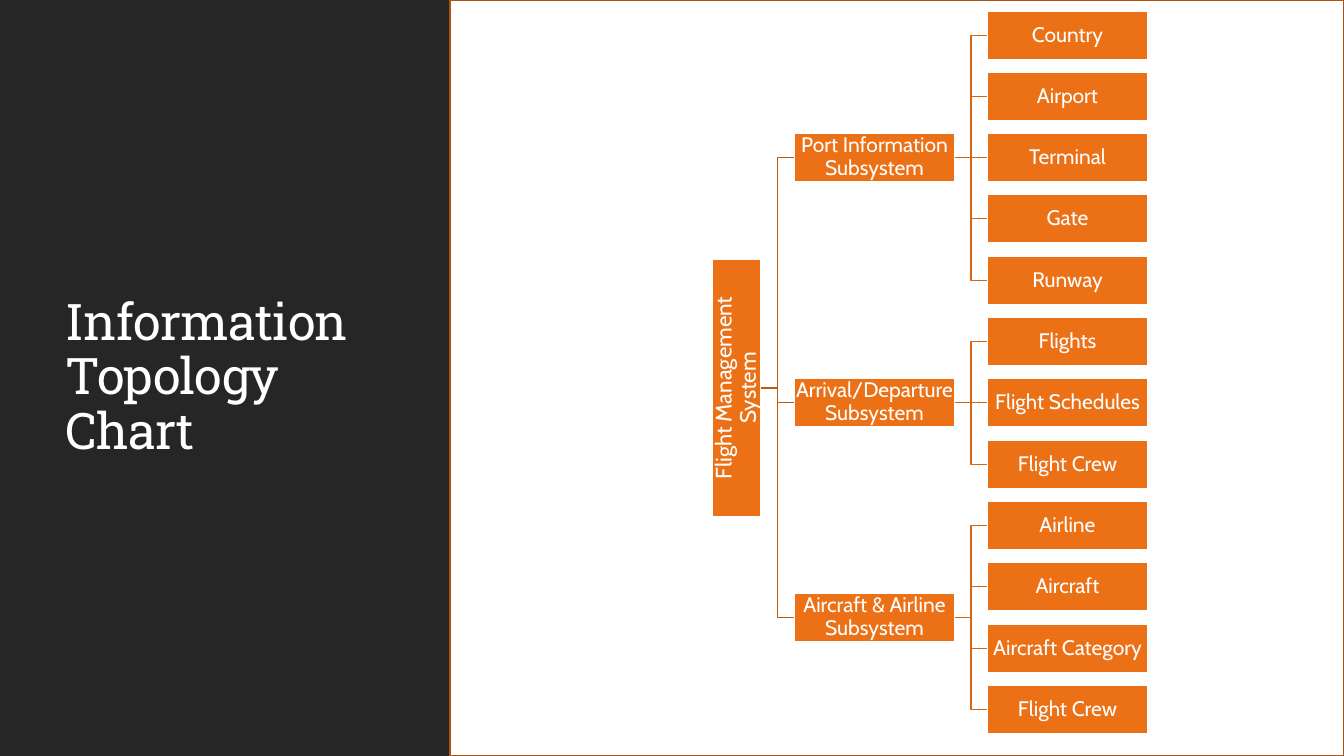
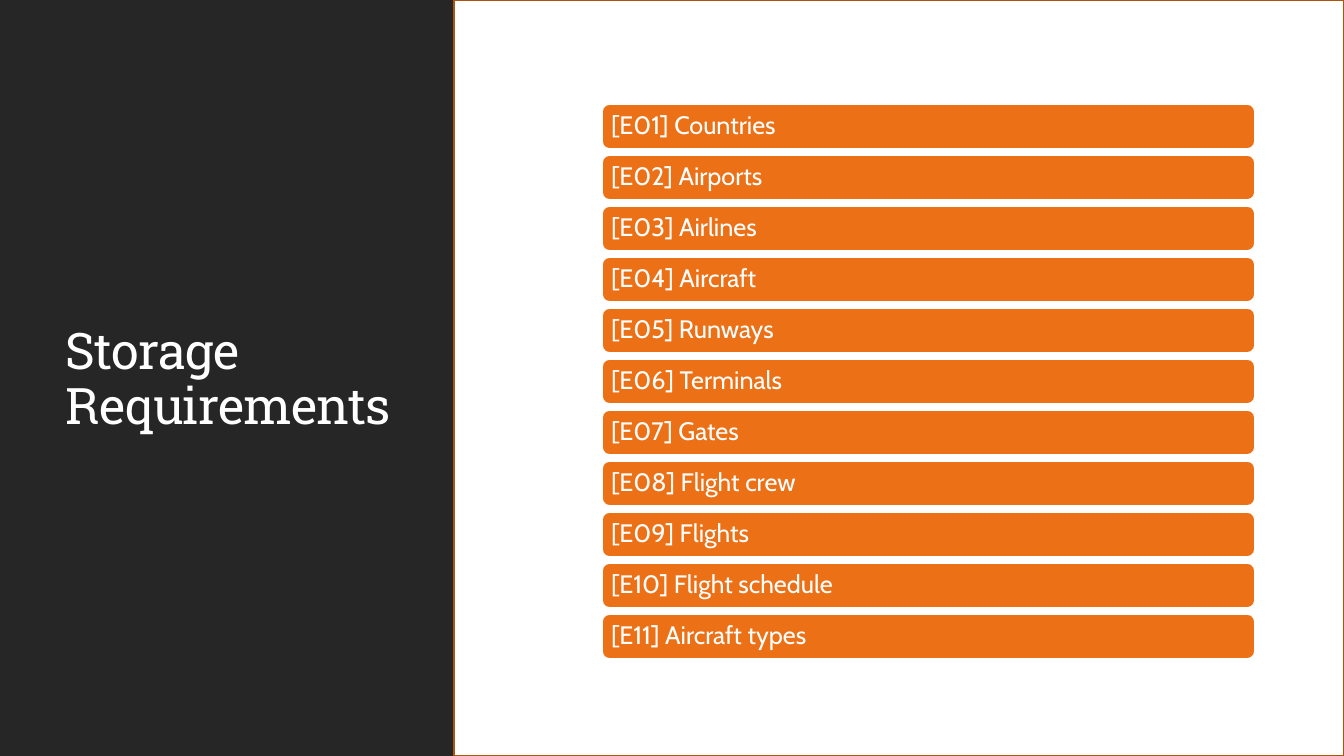
from lxml import etree
from pptx import Presentation
from pptx.dml.color import RGBColor
from pptx.enum.shapes import MSO_CONNECTOR, MSO_SHAPE
from pptx.enum.text import MSO_ANCHOR, PP_ALIGN
from pptx.oxml.ns import qn
from pptx.util import Emu, Pt

RECTANGLE = MSO_SHAPE.RECTANGLE
ROUNDED = MSO_SHAPE.ROUNDED_RECTANGLE
STRAIGHT = MSO_CONNECTOR.STRAIGHT
ELBOW = MSO_CONNECTOR.ELBOW
MIDDLE = MSO_ANCHOR.MIDDLE
LEFT = PP_ALIGN.LEFT
CENTER = PP_ALIGN.CENTER
LEFT_SIDE, RIGHT_SIDE = 1, 3

PAGE_WIDTH, PAGE_HEIGHT = 1344, 756
EMU_PER_PX = 12192000 / PAGE_WIDTH

COLORS = {
    "dark": "262626",
    "white": "FFFFFF",
    "orange": "EC7016",
    "panel_line": "AF5310",
    "root_link": "BD5A12",
    "leaf_link": "D66614",
}
TITLE_FONT = "Roboto Slab"
BODY_FONT = "Cabin"
LINE_WIDTH = Pt(1.25)

SYSTEM = "Flight Management System"
SUBSYSTEMS = {
    "Port Information Subsystem": ["Country", "Airport", "Terminal", "Gate", "Runway"],
    "Arrival/Departure Subsystem": ["Flights", "Flight Schedules", "Flight Crew"],
    "Aircraft & Airline Subsystem": ["Airline", "Aircraft", "Aircraft Category", "Flight Crew"],
}
ENTITIES = [
    "Countries", "Airports", "Airlines", "Aircraft", "Runways", "Terminals",
    "Gates", "Flight crew", "Flights", "Flight schedule", "Aircraft types",
]


def px(length):
    return Emu(round(length * EMU_PER_PX))


def color(name):
    return RGBColor.from_string(COLORS[name])


class Slides:
    def __init__(self):
        self.deck = Presentation()
        self.deck.slide_width = px(PAGE_WIDTH)
        self.deck.slide_height = px(PAGE_HEIGHT)
        self.page = None

    def new_page(self, title, title_top, panel_left):
        self.page = self.deck.slides.add_slide(self.deck.slide_layouts[6])
        self.shape(0, 0, 513, PAGE_HEIGHT, "dark")
        self.shape(panel_left, 0, PAGE_WIDTH - panel_left, PAGE_HEIGHT, "white", "panel_line")
        self.title(title, title_top)

    def shape(self, left, top, width, height, fill, line=None, kind=RECTANGLE):
        shape = self.page.shapes.add_shape(kind, px(left), px(top), px(width), px(height))
        shape.shadow.inherit = False
        shape.fill.solid()
        shape.fill.fore_color.rgb = color(fill)
        if line:
            shape.line.color.rgb = color(line)
            shape.line.width = LINE_WIDTH
        else:
            shape.line.fill.background()
        return shape

    def set_text(self, shape, text, size, font, align):
        frame = shape.text_frame
        frame.text = text
        frame.word_wrap = True
        frame.vertical_anchor = MIDDLE
        para = frame.paragraphs[0]
        para.alignment = align
        para.line_spacing = 0.9
        for span in para.runs:
            span.font.size = Pt(size)
            span.font.name = font
            span.font.color.rgb = color("white")
        return frame

    def title(self, text, top):
        box = self.page.shapes.add_textbox(px(56), px(top), px(388), px(231))
        frame = self.set_text(box, text, 36, TITLE_FONT, LEFT)
        for span in frame.paragraphs[0].runs:
            span.font._element.set("spc", "-50")

    def box(self, text, left, top, width, height, size=15, align=CENTER, inset=1, kind=RECTANGLE):
        box = self.shape(left, top, width, height, "orange", "white", kind)
        frame = self.set_text(box, text, size, BODY_FONT, align)
        frame.margin_left = frame.margin_right = px(inset)
        frame.margin_top = frame.margin_bottom = px(inset)
        return box

    def upright_box(self, text, left, top, width, height, size):
        box = self.box(text, left, top, width, height, size)
        box.text_frame._txBody.bodyPr.set("vert", "vert270")
        return box

    def link(self, parent, child, line):
        kind = STRAIGHT if parent.top == child.top else ELBOW
        link = self.page.shapes.add_connector(kind, 0, 0, 0, 0)
        link.begin_connect(parent, RIGHT_SIDE)
        link.end_connect(child, LEFT_SIDE)
        link.line.color.rgb = color(line)
        link.line.width = LINE_WIDTH
        etree.SubElement(link._element.spPr, qn("a:effectLst"))


def topology_page(slides):
    slides.new_page("Information Topology\vChart", 263, 450)
    box_width, box_height, root_height = 161, 49, 258
    leaf_count = sum(len(names) for names in SUBSYSTEMS.values())
    leaf_tops = iter([11 + index * 613 // 10 for index in range(leaf_count)])
    subsystem_tops = []
    subsystem_boxes = []
    for subsystem, names in SUBSYSTEMS.items():
        tops = [next(leaf_tops) for _ in names]
        middle = (tops[0] + tops[-1]) // 2
        parent = slides.box(subsystem, 794, middle, box_width, box_height)
        for name, top in zip(names, tops):
            leaf = slides.box(name, 987, top, box_width, box_height)
            slides.link(parent, leaf, "leaf_link")
        subsystem_tops.append(middle)
        subsystem_boxes.append(parent)
    root_top = (subsystem_tops[0] + subsystem_tops[-1] + box_height - root_height + 1) // 2
    root = slides.upright_box(SYSTEM, 712, root_top, box_height, root_height, 16)
    for subsystem_box in subsystem_boxes:
        slides.link(root, subsystem_box, "root_link")


def storage_page(slides):
    slides.new_page("Storage Requirements", 265, 454)
    for index, entity in enumerate(ENTITIES):
        slides.box(f"[E{index + 1:02}] {entity}", 602, 104 + index * 51, 653, 45,
                   size=18, align=LEFT, inset=7, kind=ROUNDED)


def main():
    slides = Slides()
    topology_page(slides)
    storage_page(slides)
    slides.deck.save("out.pptx")


if __name__ == "__main__":
    main()
